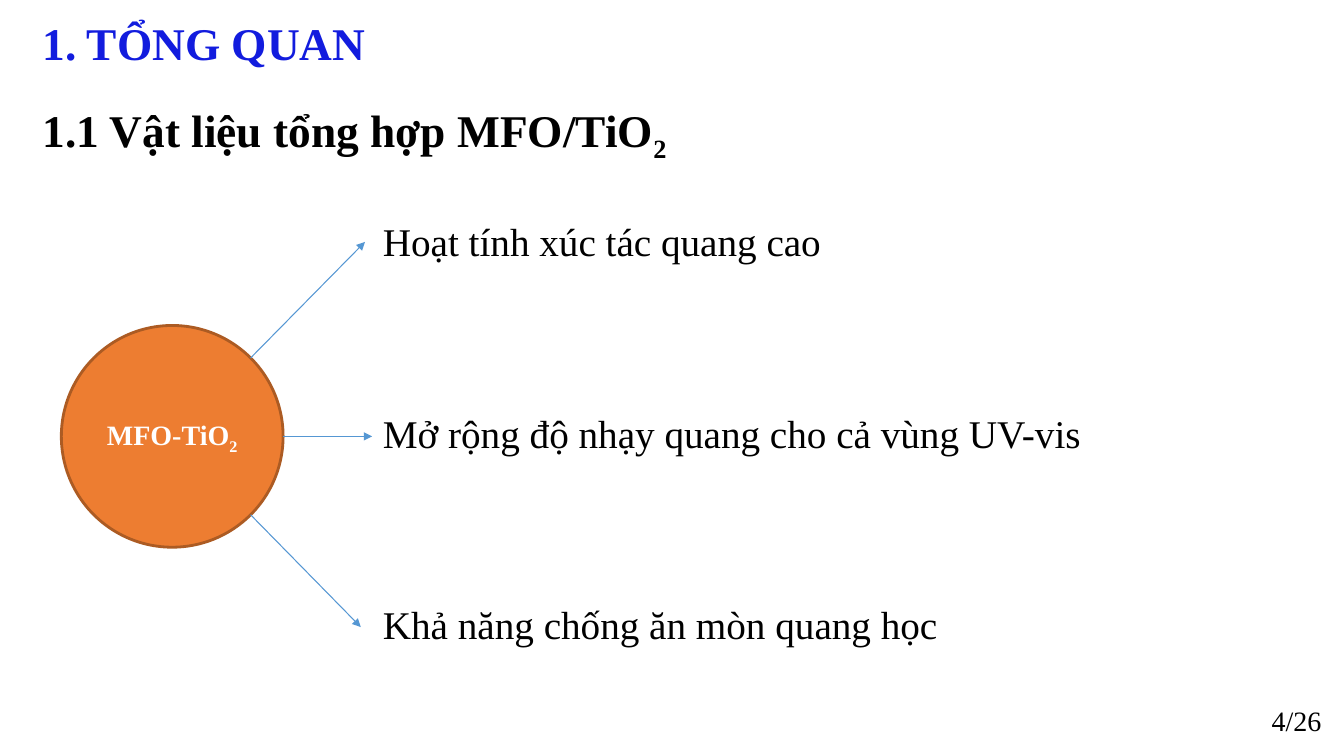
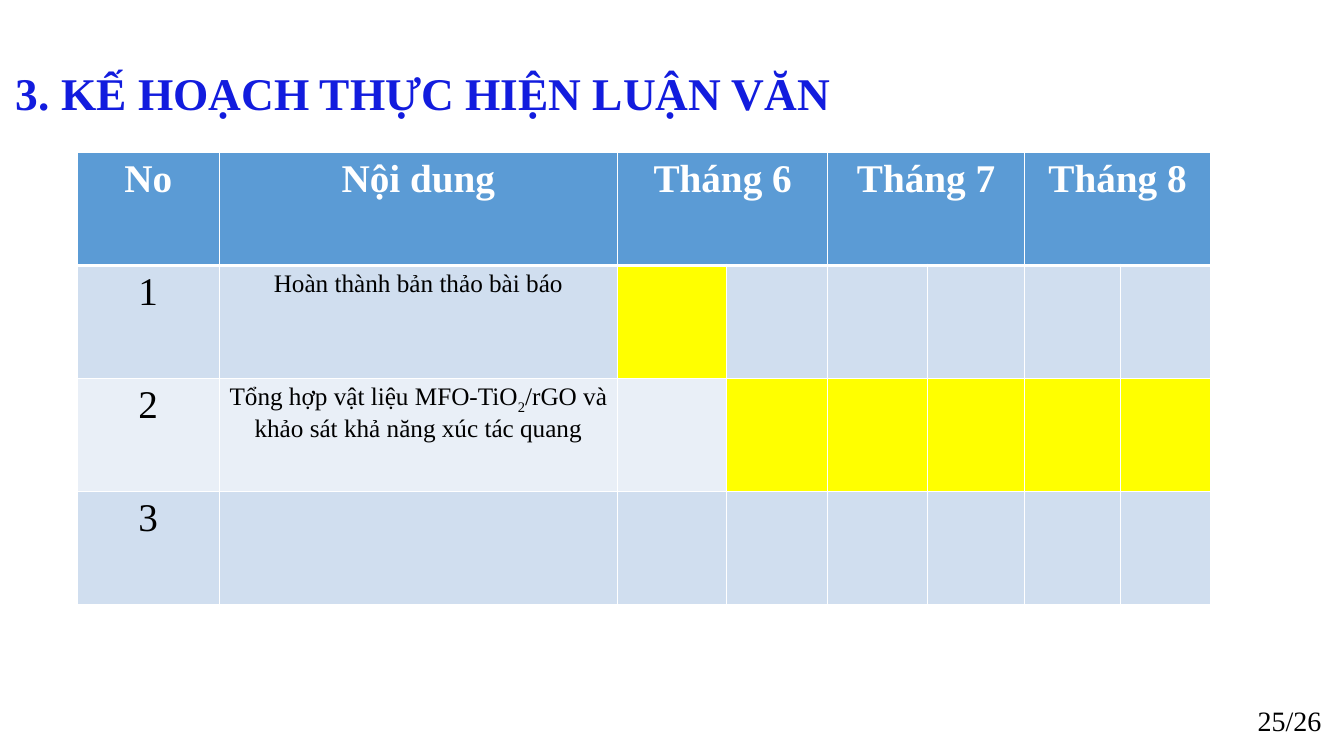
import math

import pptx
import pptx.dml.color
import pptx.enum.shapes
import pptx.enum.text
import pptx.oxml.ns
import pptx.util
from lxml import etree

RGB = pptx.dml.color.RGBColor
ALIGN = pptx.enum.text.PP_ALIGN
ANCHOR = pptx.enum.text.MSO_ANCHOR
qn = pptx.oxml.ns.qn

# Colours
TITLE_BLUE = RGB(0x12, 0x1C, 0xDE)
BLACK = RGB(0, 0, 0)
WHITE = RGB(0xFF, 0xFF, 0xFF)
ORANGE = RGB(0xED, 0x7D, 0x31)
DARK_ORANGE = RGB(0xAC, 0x5B, 0x23)
ARROW_BLUE = RGB(0x55, 0x97, 0xD3)
HEADER_BLUE = RGB(0x5B, 0x9B, 0xD5)
BAND_DARK = RGB(0xD0, 0xDE, 0xEF)
BAND_LIGHT = RGB(0xE9, 0xEF, 0xF7)
YELLOW = RGB(0xFF, 0xFF, 0)

# Square grid of 32 columns by 18 rows
WIDTH, HEIGHT = pptx.util.Inches(13.33), pptx.util.Inches(7.5)
COLUMNS, ROWS = 32, 18
PAGE_TOTAL = 26

# Text formats
FONT = "Times New Roman"
TITLE = dict(name=FONT, size=32.4, bold=True, color=TITLE_BLUE)
SUBTITLE = dict(TITLE, color=BLACK)
BODY = dict(name=FONT, size=28, bold=False, color=BLACK)
SMALL = dict(BODY, size=18)
FOOTER = dict(BODY, size=20)
BADGE = dict(BODY, size=20, bold=True, color=WHITE)
HEADER = dict(BODY, bold=True, color=WHITE)


def grid(*lengths):
    """Turn alternating column and row counts into lengths."""
    units = (WIDTH / COLUMNS, HEIGHT / ROWS)
    return [round(length * units[i % 2]) for i, length in enumerate(lengths)]


class Builder:
    def __init__(self):
        self.deck = pptx.Presentation()
        self.deck.slide_width, self.deck.slide_height = WIDTH, HEIGHT
        self.page = None

    def new_page(self, number):
        self.page = self.deck.slides.add_slide(self.deck.slide_layouts[5])
        self.text((24.24, 16.68, 7.46, 0.96), f"{number}/{PAGE_TOTAL}", FOOTER,
                  ALIGN.RIGHT, ANCHOR.MIDDLE)

    def add_spans(self, para, text, formats, align=ALIGN.LEFT):
        """Add text in which ~marks~ enclose a subscript."""
        para.alignment = align
        for i, part in enumerate(text.split("~")):
            if not part:
                continue
            span = para.add_run()
            span.text = part
            for name, value in formats.items():
                if name == "color":
                    span.font.color.rgb = value
                else:
                    setattr(span.font, name,
                            pptx.util.Pt(value) if name == "size" else value)
            if i % 2:
                span._r.get_or_add_rPr().set("baseline", "-25000")

    def title(self, place, heading, subtitle=None):
        box = self.page.shapes.title
        box.left, box.top, box.width, box.height = grid(*place)
        frame = box.text_frame
        frame.auto_size = pptx.enum.text.MSO_AUTO_SIZE.NONE
        frame.vertical_anchor = ANCHOR.TOP
        self.add_spans(frame.paragraphs[0], heading, TITLE)
        if subtitle:
            para = frame.add_paragraph()
            para.space_before = pptx.util.Pt(23.5)
            self.add_spans(para, subtitle, SUBTITLE)

    def text(self, place, text, formats, align=ALIGN.LEFT, anchor=ANCHOR.TOP):
        frame = self.page.shapes.add_textbox(*grid(*place)).text_frame
        frame.word_wrap = True
        frame.vertical_anchor = anchor
        self.add_spans(frame.paragraphs[0], text, formats, align)

    def circle(self, place, text):
        shape = self.page.shapes.add_shape(
            pptx.enum.shapes.MSO_SHAPE.OVAL, *grid(*place))
        shape.shadow.inherit = False
        shape.fill.solid()
        shape.fill.fore_color.rgb = ORANGE
        shape.line.color.rgb = DARK_ORANGE
        shape.line.width = pptx.util.Pt(2)
        shape.text_frame.vertical_anchor = ANCHOR.MIDDLE
        self.add_spans(shape.text_frame.paragraphs[0], text, BADGE,
                       ALIGN.CENTER)

    def arrow(self, start, end):
        line = self.page.shapes.add_connector(
            pptx.enum.shapes.MSO_CONNECTOR.STRAIGHT, *grid(*start, *end))
        line.line.color.rgb = ARROW_BLUE
        line.line.width = pptx.util.Pt(0.75)
        etree.SubElement(line.line._get_or_add_ln(), qn("a:tailEnd"),
                         type="triangle")
        etree.SubElement(line._element.spPr, qn("a:effectLst"))

    def table(self, corner, widths, row_height, rows):
        size = (sum(widths), row_height * rows)
        table = self.page.shapes.add_table(
            rows, len(widths), *grid(*corner, *size)).table
        table.first_row = table.horz_banding = False
        for column, width in zip(table.columns, widths):
            column.width = grid(width)[0]
        for row in table.rows:
            row.height = grid(0, row_height)[1]
        return table

    def cell(self, cell, fill, thick_side=None):
        """Fill a cell and give it white borders, one of them thick."""
        properties = cell._tc.get_or_add_tcPr()
        for side in "LRTB":
            points = 3 if side == thick_side else 1
            border = etree.SubElement(properties, qn(f"a:ln{side}"),
                                      w=str(pptx.util.Pt(points)))
            paint = etree.SubElement(border, qn("a:solidFill"))
            etree.SubElement(paint, qn("a:srgbClr"), val=str(WHITE))
        cell.fill.solid()
        cell.fill.fore_color.rgb = fill


def overview(builder):
    builder.new_page(4)
    builder.title((0.77, 0.23, 19.13, 3.6), "1. TỔNG QUAN",
                  "1.1 Vật liệu tổng hợp MFO/TiO~2~")

    # Central material
    left, top, diameter = 1.46, 7.75, 5.28
    radius = diameter / 2
    builder.circle((left, top, diameter, diameter), "MFO-TiO~2~")

    # Properties, each reached by an arrow from the rim
    properties = [
        ("Hoạt tính xúc tác quang cao", 11.02, -45, (8.69, 5.76)),
        ("Mở rộng độ nhạy quang cho cả vùng UV-vis", 17.57, 0,
         (8.86, top + radius)),
        ("Khả năng chống ăn mòn quang học", 13.82, 45, (8.59, 14.93)),
    ]
    for i, (label, width, degrees, tip) in enumerate(properties):
        angle = math.radians(degrees)
        rim = (left + radius * (1 + math.cos(angle)),
               top + radius * (1 + math.sin(angle)))
        builder.arrow(rim, tip)
        builder.text((8.88, 5.06 + 4.56 * i, width, 1.37), label, BODY)


def schedule(builder):
    builder.new_page(25)
    builder.title((0.14, 1.42, 31.7, 1.5), "3. KẾ HOẠCH THỰC HIỆN LUẬN VĂN")

    # Tasks with the half-months they occupy
    tasks = [
        ("Hoàn thành bản thảo bài báo", range(2, 3)),
        ("Tổng hợp vật liệu MFO-TiO~2~/rGO và khảo sát khả năng xúc tác quang",
         range(3, 8)),
        ("", range(0)),
    ]
    widths = [3.38, 9.48, 2.59, 2.42, 2.38, 2.3, 2.3, 2.14]
    table = builder.table((1.84, 3.63), widths, 2.69, len(tasks) + 1)

    # Header row, with two columns to a month
    for column in range(len(widths)):
        builder.cell(table.cell(0, column), HEADER_BLUE, "B")
    headings = {0: "No", 1: "Nội dung", 2: "Tháng 6", 4: "Tháng 7",
                6: "Tháng 8"}
    for column, heading in headings.items():
        cell = table.cell(0, column)
        if column > 1:
            cell.merge(table.cell(0, column + 1))
        builder.add_spans(cell.text_frame.paragraphs[0], heading, HEADER,
                          ALIGN.CENTER)

    # Task rows
    for row, (task, busy) in enumerate(tasks, 1):
        band = BAND_DARK if row % 2 else BAND_LIGHT
        for column in range(len(widths)):
            builder.cell(table.cell(row, column),
                         YELLOW if column in busy else band,
                         "T" if row == 1 else None)
        for column, (text, formats) in enumerate([(str(row), BODY),
                                                  (task, SMALL)]):
            para = table.cell(row, column).text_frame.paragraphs[0]
            builder.add_spans(para, text, formats, ALIGN.CENTER)


def main():
    builder = Builder()
    overview(builder)
    schedule(builder)
    builder.deck.save("out.pptx")


if __name__ == "__main__":
    main()
